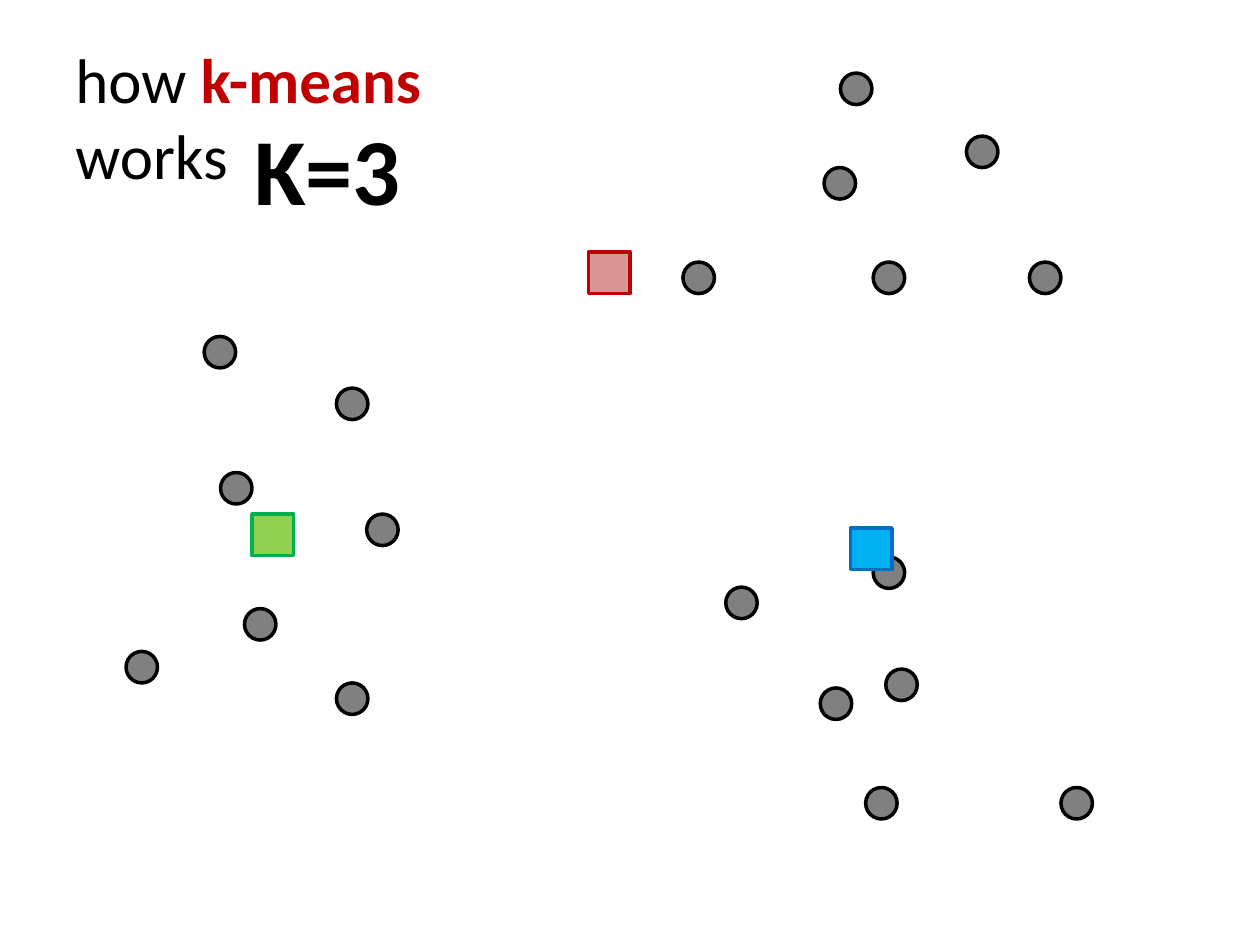
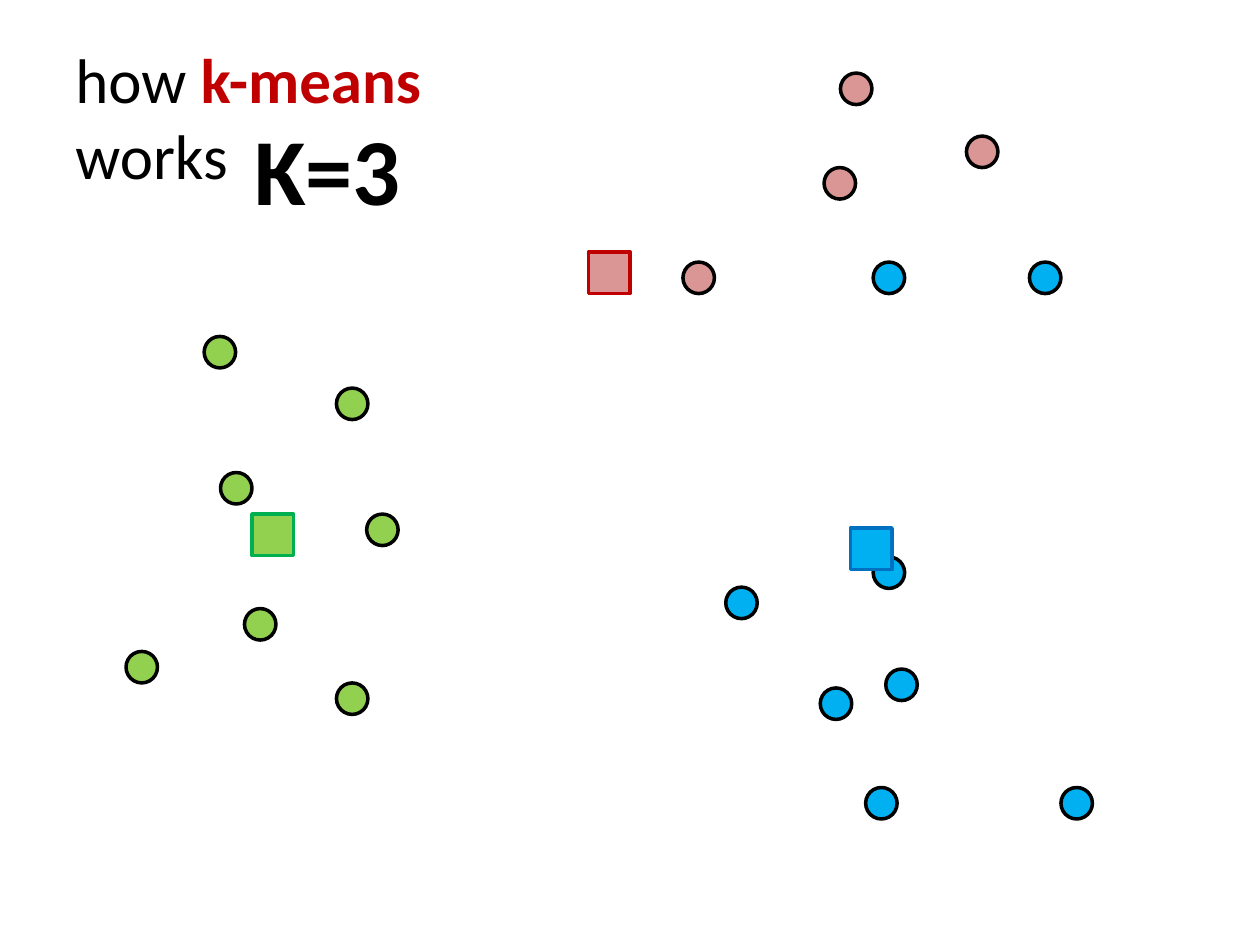
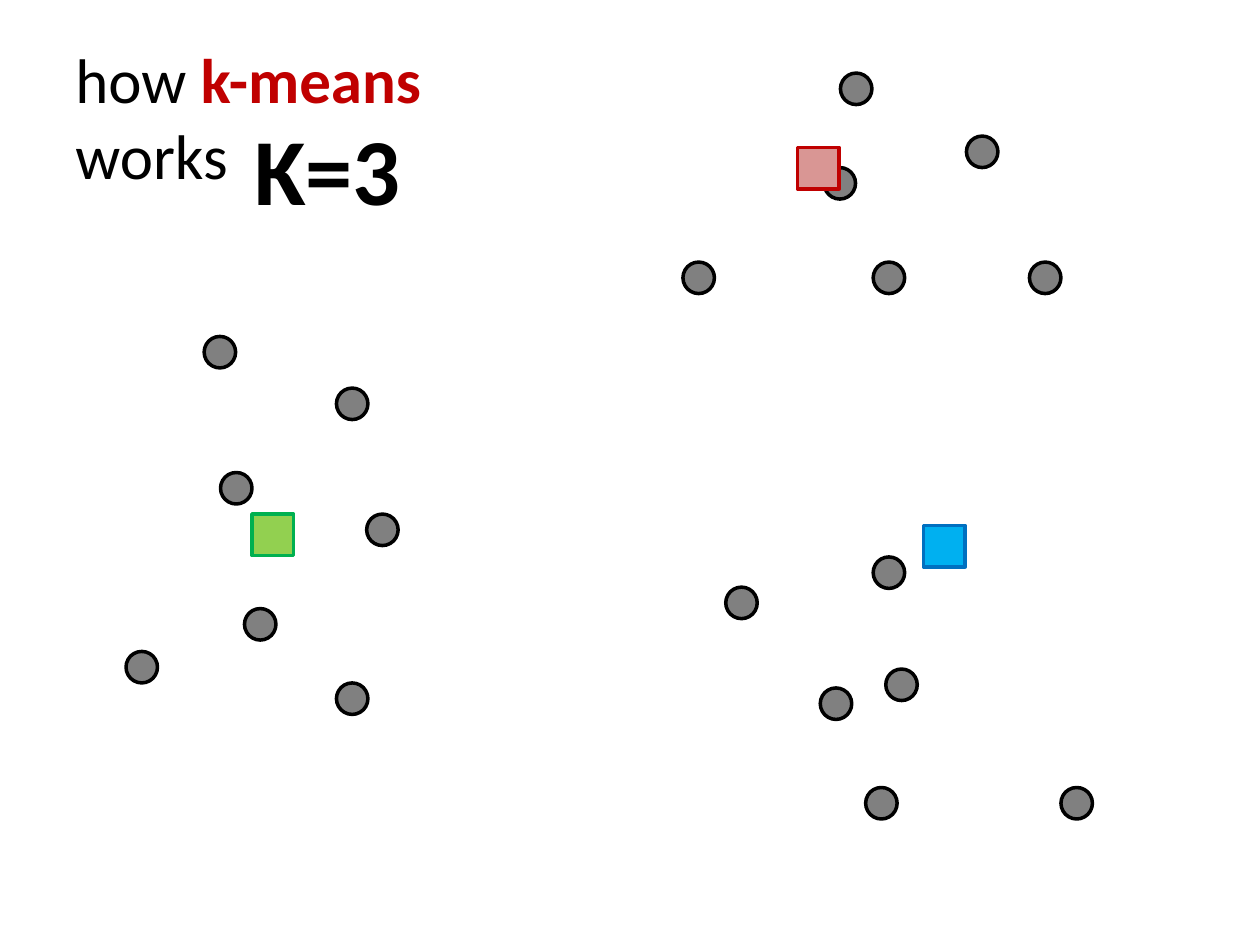
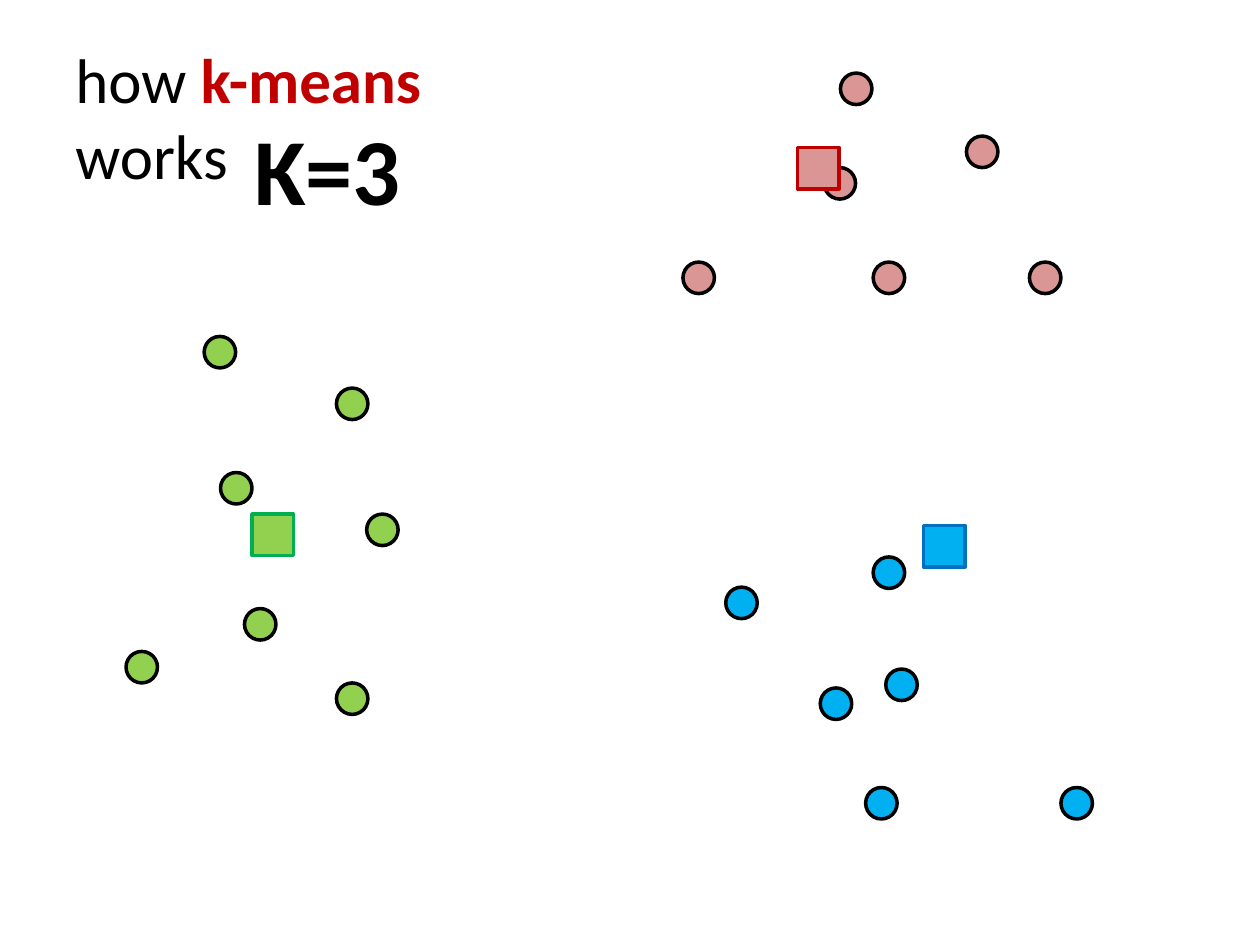
"""Build four slides that show two rounds of k-means clustering with K=3."""

import math
from dataclasses import dataclass

from pptx import Presentation
from pptx.dml.color import RGBColor
from pptx.enum.shapes import MSO_SHAPE
from pptx.enum.text import MSO_ANCHOR, MSO_AUTO_SIZE
from pptx.slide import Slide
from pptx.text.text import TextFrame
from pptx.util import Inches, Pt

CIRCLE = MSO_SHAPE.OVAL
SQUARE = MSO_SHAPE.RECTANGLE
MIDDLE = MSO_ANCHOR.MIDDLE
FIT_SHAPE = MSO_AUTO_SIZE.SHAPE_TO_FIT_TEXT

BLACK = RGBColor(0x00, 0x00, 0x00)
GRAY = RGBColor(0x80, 0x80, 0x80)
ROSE = RGBColor(0xD9, 0x96, 0x94)
RED = RGBColor(0xC0, 0x00, 0x00)
LIME = RGBColor(0x92, 0xD0, 0x50)
GREEN = RGBColor(0x00, 0xB0, 0x50)
SKY = RGBColor(0x00, 0xB0, 0xF0)
BLUE = RGBColor(0x00, 0x70, 0xC0)

FONT = "Calibri"
POINT_SIZE = 0.25
CENTROID_SIZE = 0.33


@dataclass(frozen=True)
class Centroid:
    """A cluster centre: its top left corner and its colours."""

    left: float
    top: float
    fill: RGBColor
    outline: RGBColor

    def distance(self, left: float, top: float) -> float:
        """Measure from this centre to the centre of a data point."""
        offset = (CENTROID_SIZE - POINT_SIZE) / 2
        return math.dist((self.left + offset, self.top + offset), (left, top))


@dataclass(frozen=True)
class Step:
    """One slide: where the centroids are and whether points are assigned."""

    centroids: tuple[Centroid, ...]
    assigned: bool


POINTS = (
    (1.75, 3.75), (2.67, 3.08), (2.91, 4.08), (1.94, 4.83), (2.67, 5.42),
    (1, 5.17), (1.62, 2.67),
    (7.67, 1.08), (8.17, 2.08), (6.67, 0.58), (6.93, 2.08), (6.54, 1.33),
    (5.42, 2.08),
    (6.93, 4.42), (8.42, 6.25), (6.87, 6.25), (7.03, 5.31), (6.51, 5.46),
    (5.76, 4.66),
)

GREEN_CENTROID = Centroid(2, 4.08, LIME, GREEN)
FIRST_CENTROIDS = (
    Centroid(4.67, 2, ROSE, RED),
    GREEN_CENTROID,
    Centroid(6.75, 4.19, SKY, BLUE),
)
MOVED_CENTROIDS = (
    GREEN_CENTROID,
    Centroid(6.33, 1.17, ROSE, RED),
    Centroid(7.33, 4.17, SKY, BLUE),
)
STEPS = tuple(
    Step(centroids, assigned)
    for centroids in (FIRST_CENTROIDS, MOVED_CENTROIDS)
    for assigned in (False, True)
)


def add_text_frame(slide: Slide, left: float, top: float, width: float,
                   height: float) -> TextFrame:
    """Add a wrapping text box and return its text frame."""
    box = slide.shapes.add_textbox(
        Inches(left), Inches(top), Inches(width), Inches(height))
    box.text_frame.word_wrap = True
    return box.text_frame


def add_title(slide: Slide) -> None:
    """Add the two-line title with its highlighted term."""
    frame = add_text_frame(slide, 0.5, 0.3, 9, 1.25)
    frame.vertical_anchor = MIDDLE
    paragraph = frame.paragraphs[0]
    paragraph.font.name = FONT
    paragraph.font.size = Pt(36)
    paragraph.font.color.rgb = BLACK
    paragraph.add_run().text = "how "
    term = paragraph.add_run()
    term.text = "k-means "
    term.font.bold = True
    term.font.color.rgb = RED
    paragraph.add_line_break()
    paragraph.add_run().text = "works"


def add_cluster_count(slide: Slide) -> None:
    """Add the large label with the number of clusters."""
    frame = add_text_frame(slide, 1.92, 0.83, 3.69, 1.01)
    frame.auto_size = FIT_SHAPE
    paragraph = frame.paragraphs[0]
    paragraph.text = "K=3"
    paragraph.font.name = FONT
    paragraph.font.size = Pt(54)
    paragraph.font.bold = True
    paragraph.font.color.rgb = BLACK


def add_marker(slide: Slide, kind: MSO_SHAPE, left: float, top: float,
               size: float, fill: RGBColor, outline: RGBColor) -> None:
    """Add one outlined marker of equal width and height."""
    shape = slide.shapes.add_shape(
        kind, Inches(left), Inches(top), Inches(size), Inches(size))
    shape.shadow.inherit = False
    shape.fill.solid()
    shape.fill.fore_color.rgb = fill
    shape.line.color.rgb = outline
    shape.line.width = Pt(2)


def point_fill(step: Step, left: float, top: float) -> RGBColor:
    """Choose gray, or the colour of the nearest centroid once assigned."""
    if not step.assigned:
        return GRAY
    nearest = min(step.centroids,
                  key=lambda centroid: centroid.distance(left, top))
    return nearest.fill


def draw_step(slide: Slide, step: Step) -> None:
    """Draw the heading, the data points and the centroids of one step."""
    add_title(slide)
    for left, top in POINTS:
        add_marker(slide, CIRCLE, left, top, POINT_SIZE,
                   point_fill(step, left, top), BLACK)
    add_cluster_count(slide)
    for centroid in step.centroids:
        add_marker(slide, SQUARE, centroid.left, centroid.top, CENTROID_SIZE,
                   centroid.fill, centroid.outline)


def main() -> None:
    """Build and save the presentation."""
    presentation = Presentation()
    presentation.slide_width = Inches(10)
    presentation.slide_height = Inches(7.5)
    blank_layout = presentation.slide_layouts[6]
    for step in STEPS:
        draw_step(presentation.slides.add_slide(blank_layout), step)
    presentation.save("out.pptx")


main()
